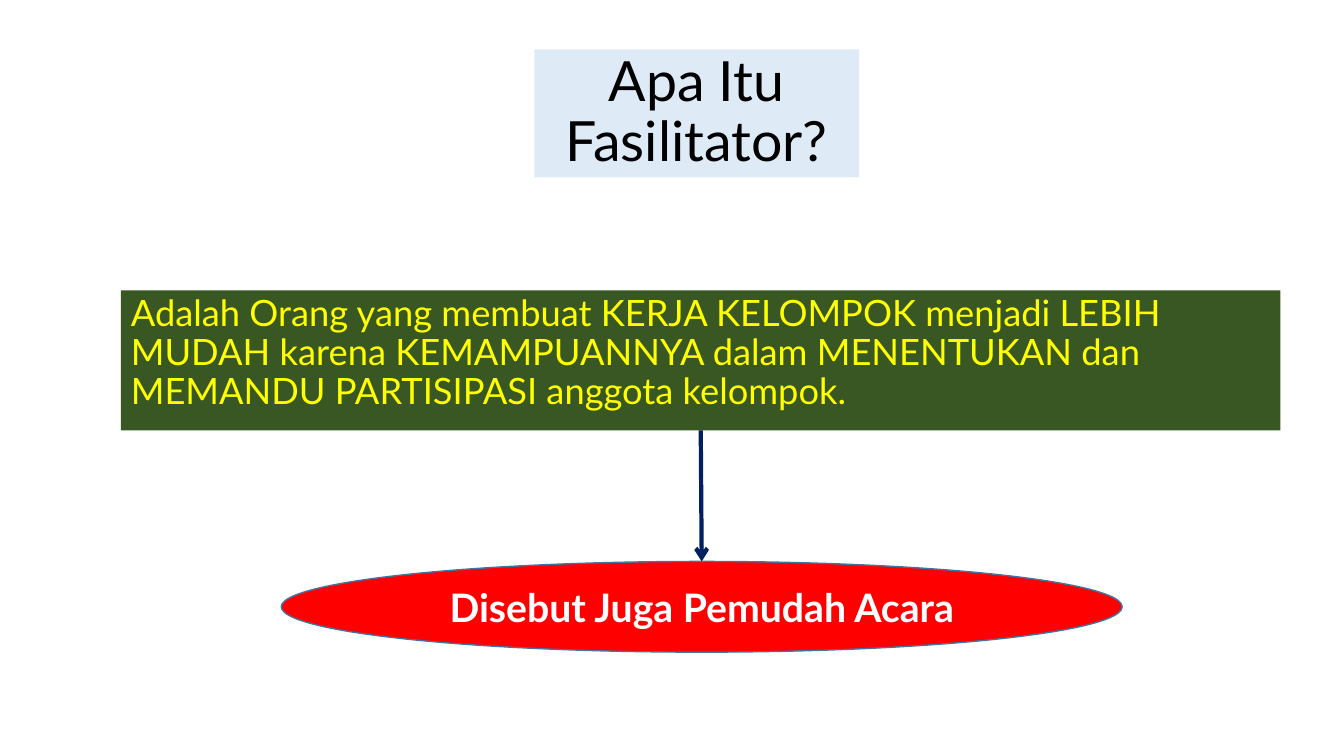
from dataclasses import dataclass

from lxml.etree import SubElement
from pptx import Presentation
from pptx.dml.color import RGBColor
from pptx.enum.shapes import MSO_CONNECTOR, MSO_SHAPE
from pptx.enum.text import MSO_ANCHOR, MSO_AUTO_SIZE, PP_ALIGN
from pptx.oxml.ns import qn
from pptx.util import Inches, Pt


@dataclass(frozen=True)
class Theme:
    font: str = "Lato"
    title_size: float = 39.6
    body_size: float = 25.9
    callout_size: float = 28
    title_fill: str = "DEEBF7"
    title_text: str = "000000"
    body_fill: str = "385723"
    body_text: str = "FFFF00"
    callout_fill: str = "FF0000"
    callout_text: str = "FFFFFF"
    callout_line: str = "43739E"
    arrow: str = "002060"


class SlideBuilder:
    def __init__(self, deck, theme):
        self.theme = theme
        self.page = deck.slides.add_slide(deck.slide_layouts[5])

    def fill(self, shape, color):
        shape.fill.solid()
        shape.fill.fore_color.rgb = RGBColor.from_string(color)

    def set_text(self, shape, text, size, color, align, anchor, bold=False):
        frame = shape.text_frame
        frame.text = text
        frame.word_wrap = True
        frame.auto_size = MSO_AUTO_SIZE.NONE
        frame.vertical_anchor = anchor
        para = frame.paragraphs[0]
        para.alignment = align
        para.font.name = self.theme.font
        para.font.size = Pt(size)
        para.font.bold = bold
        para.font.color.rgb = RGBColor.from_string(color)
        return para

    def title(self, text, left, top, width, height):
        box = self.page.shapes.title
        box.left, box.top = Inches(left), Inches(top)
        box.width, box.height = Inches(width), Inches(height)
        self.fill(box, self.theme.title_fill)
        para = self.set_text(box, text, self.theme.title_size, self.theme.title_text,
                             PP_ALIGN.CENTER, MSO_ANCHOR.MIDDLE)
        para.line_spacing = 0.9

    def shape(self, kind, left, top, width, height, color):
        box = self.page.shapes.add_shape(
            kind, Inches(left), Inches(top), Inches(width), Inches(height))
        box.shadow.inherit = False
        self.fill(box, color)
        return box

    def definition(self, text, left, top, width, height):
        box = self.shape(MSO_SHAPE.RECTANGLE, left, top, width, height,
                         self.theme.body_fill)
        box.line.fill.background()
        para = self.set_text(box, text, self.theme.body_size, self.theme.body_text,
                             PP_ALIGN.LEFT, MSO_ANCHOR.TOP)
        para.line_spacing = 0.9
        para.space_before = Pt(10)
        return box

    def callout(self, text, left, top, width, height):
        oval = self.shape(MSO_SHAPE.OVAL, left, top, width, height,
                          self.theme.callout_fill)
        oval.line.color.rgb = RGBColor.from_string(self.theme.callout_line)
        oval.line.width = Pt(1)
        self.set_text(oval, text, self.theme.callout_size, self.theme.callout_text,
                      PP_ALIGN.CENTER, MSO_ANCHOR.MIDDLE, bold=True)
        return oval

    def arrow_down(self, upper, lower):
        """Join the bottom of one shape to the top of another."""
        arrow = self.page.shapes.add_connector(MSO_CONNECTOR.STRAIGHT, 0, 0, 0, 0)
        arrow.begin_connect(upper, 2)
        arrow.end_connect(lower, 0)
        arrow.line.color.rgb = RGBColor.from_string(self.theme.arrow)
        arrow.line.width = Pt(3)
        properties = arrow.element.spPr
        SubElement(properties.find(qn("a:ln")), qn("a:tailEnd"), type="arrow")
        SubElement(properties, qn("a:effectLst"))


def main():
    deck = Presentation()
    deck.slide_width, deck.slide_height = Inches(13.33), Inches(7.5)
    builder = SlideBuilder(deck, Theme())
    builder.title("Apa Itu Fasilitator?", 5.3, 0.49, 3.22, 1.27)
    definition = builder.definition(
        "Adalah Orang yang membuat KERJA KELOMPOK menjadi LEBIH MUDAH karena "
        "KEMAMPUANNYA dalam MENENTUKAN dan MEMANDU PARTISIPASI anggota kelompok.",
        1.2, 2.88, 11.5, 1.39)
    callout = builder.callout("Disebut Juga Pemudah Acara", 2.79, 5.57, 8.34, 0.9)
    builder.arrow_down(definition, callout)
    deck.save("out.pptx")


if __name__ == "__main__":
    main()
